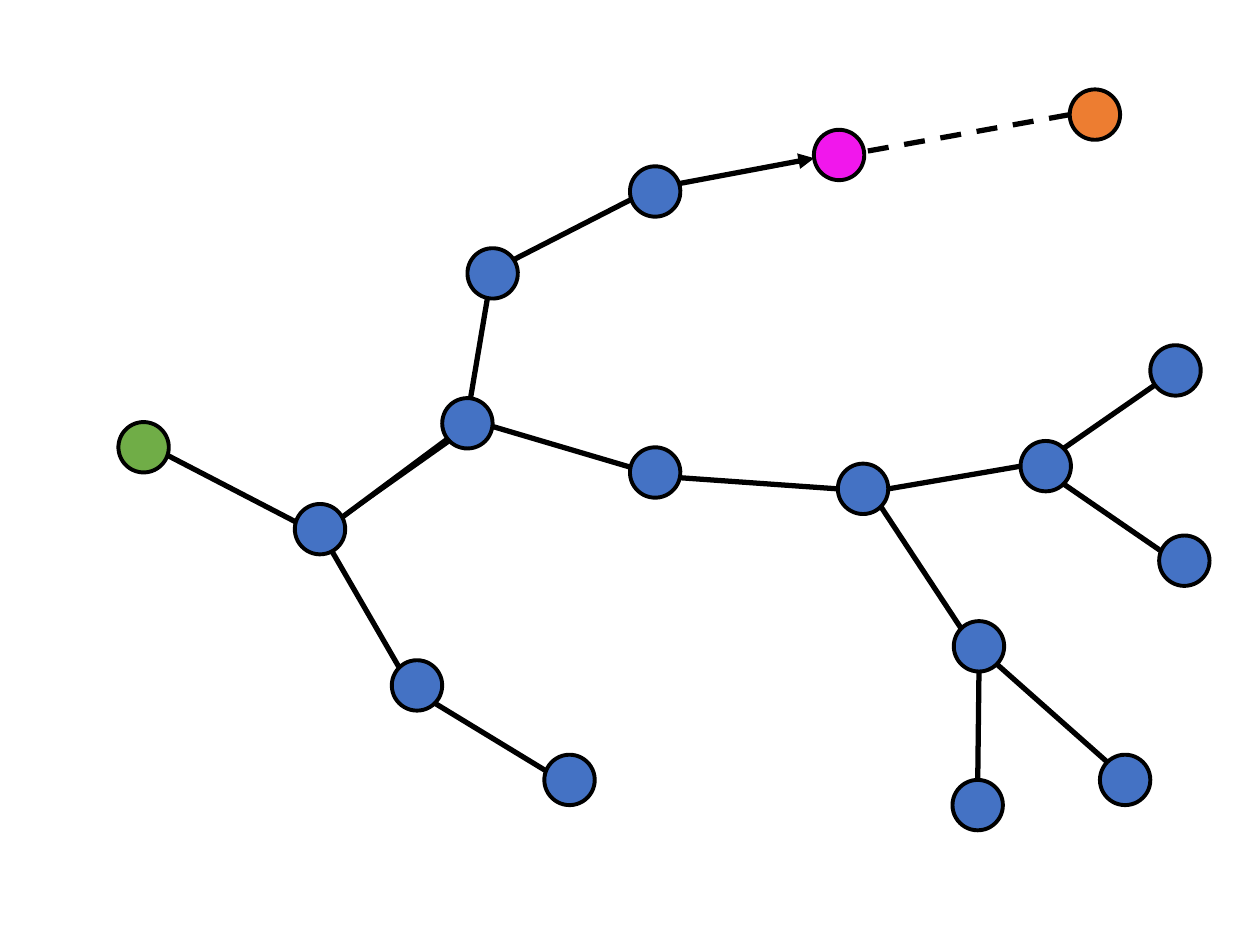
import math
from dataclasses import dataclass

import pptx
import pptx.dml.color
import pptx.enum.dml
import pptx.enum.shapes
import pptx.oxml
import pptx.oxml.ns
import pptx.util

RGBColor = pptx.dml.color.RGBColor
BLACK = RGBColor(0x00, 0x00, 0x00)
BLUE = RGBColor(0x44, 0x72, 0xC4)
GREEN = RGBColor(0x70, 0xAD, 0x47)
ORANGE = RGBColor(0xED, 0x7D, 0x31)
MAGENTA = RGBColor(0xF1, 0x17, 0xEC)

COLUMNS, ROWS = 100, 75
RADIUS = 2


@dataclass
class Node:
    """A circle: centre in grid columns and rows, turn in degrees."""
    column: float
    row: float
    turn: float = 0
    color: RGBColor = BLUE

    def site_towards(self, other):
        """Return the one of eight rim points, 45 degrees apart, that best faces other."""
        heading = math.degrees(math.atan2(other.row - self.row, other.column - self.column))
        angle = math.radians(self.turn + 45 * round((heading - self.turn) / 45))
        return self.column + RADIUS * math.cos(angle), self.row + RADIUS * math.sin(angle)


class TreePage:
    node_outline = pptx.util.Pt(2.25)
    edge_width = pptx.util.Pt(3)

    def __init__(self, deck):
        self.page = deck.slides.add_slide(deck.slide_layouts[6])
        self.column = deck.slide_width / COLUMNS
        self.row = deck.slide_height / ROWS

    def place(self, column, row):
        return round(column * self.column), round(row * self.row)

    def add_node(self, node):
        circle = self.page.shapes.add_shape(
            pptx.enum.shapes.MSO_SHAPE.OVAL,
            *self.place(node.column - RADIUS, node.row - RADIUS),
            *self.place(2 * RADIUS, 2 * RADIUS))
        circle.rotation = node.turn
        circle.shadow.inherit = False
        circle.fill.solid()
        circle.fill.fore_color.rgb = node.color
        circle.line.color.rgb = BLACK
        circle.line.width = self.node_outline

    def add_edge(self, start, end, width=edge_width, dashed=False, arrow=False):
        edge = self.page.shapes.add_connector(
            pptx.enum.shapes.MSO_CONNECTOR.STRAIGHT,
            *self.place(*start.site_towards(end)),
            *self.place(*end.site_towards(start)))
        edge.line.color.rgb = BLACK
        edge.line.width = width
        if dashed:
            edge.line.dash_style = pptx.enum.dml.MSO_LINE.DASH
        properties = edge._element.spPr
        if arrow:
            head = pptx.oxml.parse_xml(
                f'<a:tailEnd {pptx.oxml.ns.nsdecls("a")} type="triangle"/>')
            properties.find(pptx.oxml.ns.qn("a:ln")).append(head)
        properties.append(pptx.oxml.parse_xml(
            f'<a:effectLst {pptx.oxml.ns.nsdecls("a")}/>'))


NODES = {
    "start": Node(11.4, 35.5, 18.7, GREEN),
    "first fork": Node(25.4, 42, 16.6),
    "lower branch": Node(33.1, 54.4),
    "lower leaf": Node(45.2, 61.9, 21.1),
    "second fork": Node(37.1, 33.6, 7),
    "upper branch": Node(39.1, 21.7, 11.9),
    "nearest": Node(52, 15.2, 26.7),
    "new": Node(66.6, 12.3, 352.6, MAGENTA),
    "sample": Node(86.9, 9.1, 0, ORANGE),
    "middle": Node(52, 37.5, 327),
    "third fork": Node(68.5, 38.8),
    "right fork": Node(83, 37),
    "right upper leaf": Node(93.3, 29.4, 9.8),
    "right lower leaf": Node(94, 44.5, 337.5),
    "bottom fork": Node(77.7, 51.3),
    "bottom left leaf": Node(77.6, 63.9),
    "bottom right leaf": Node(89.3, 61.9),
}
EDGES = [
    ("start", "first fork"),
    ("first fork", "lower branch"),
    ("lower branch", "lower leaf"),
    ("first fork", "second fork"),
    ("second fork", "upper branch"),
    ("upper branch", "nearest"),
    ("second fork", "middle"),
    ("middle", "third fork"),
    ("third fork", "right fork"),
    ("right fork", "right upper leaf"),
    ("right fork", "right lower leaf"),
    ("third fork", "bottom fork"),
    ("bottom fork", "bottom left leaf"),
    ("bottom fork", "bottom right leaf"),
]


def main():
    deck = pptx.Presentation()
    deck.slide_width = pptx.util.Inches(10)
    deck.slide_height = pptx.util.Inches(7.5)
    tree = TreePage(deck)
    for node in NODES.values():
        tree.add_node(node)
    for start, end in EDGES:
        tree.add_edge(NODES[start], NODES[end])
    # A thinner second stroke leaves the fork as if it were not turned.
    fork = NODES["second fork"]
    tree.add_edge(Node(fork.column, fork.row), NODES["first fork"], width=tree.node_outline)
    tree.add_edge(NODES["sample"], NODES["new"], dashed=True)
    tree.add_edge(NODES["nearest"], NODES["new"], arrow=True)
    deck.save("out.pptx")


if __name__ == "__main__":
    main()
